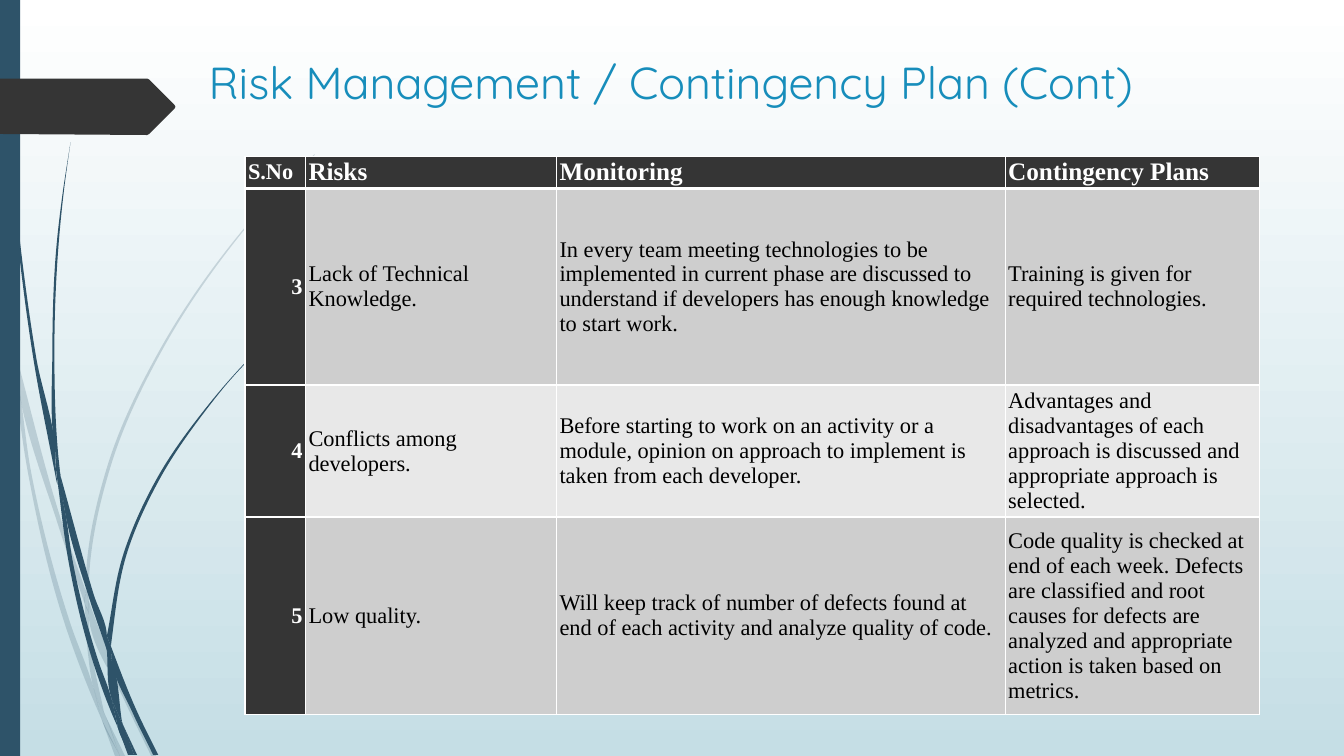
import math
from dataclasses import dataclass

import lxml.etree
import pptx
import pptx.dml.color
import pptx.enum.text
import pptx.oxml.ns
import pptx.util

Inches = pptx.util.Inches
Color = pptx.dml.color.RGBColor.from_string
Align = pptx.enum.text.PP_ALIGN
qn = pptx.oxml.ns.qn
Point = tuple[float, float]
Edge = list[Point]


@dataclass(frozen=True)
class Theme:
    white: str = "FFFFFF"
    black: str = "000000"
    mist: str = "C5DEE5"
    navy: str = "2E5369"
    coal: str = "353535"
    blue: str = "178DBB"
    dark: str = "CECECE"
    pale: str = "E8E8E8"
    title: str = "Quicksand"
    body: str = "Times New Roman"
    big: int = 32
    head: int = 18
    text: int = 16
    faint: int = 20


@dataclass(frozen=True)
class Strand:
    out: Edge
    back: Edge


THEME = Theme()

LIGHT = [
    Strand([(0.11, 3.5), (0.09, 3.22), (0, 2.82)], [(0, 2.99), (0.1, 3.44), (0.11, 3.5)]),
    Strand([(0.14, 3.45), (0.17, 3.76), (0.58, 5.22), (0.84, 5.99)],
           [(0.85, 5.86), (0.62, 5.2), (0.14, 3.45)]),
    Strand([(0.88, 5.96), (0.88, 6.1), (1.23, 6.94), (1.5, 7.5)],
           [(1.55, 7.5), (1.27, 6.92), (0.92, 6.07), (0.88, 5.96)]),
    Strand([(1.05, 7.11), (1.19, 7.5)], [(1.24, 7.5), (1.05, 7.11)]),
    Strand([(0.11, 3.5), (0.28, 4.7), (0.65, 6.21), (0.92, 6.93), (1.01, 7.14)],
           [(0.99, 7.07), (0.93, 6.83), (0.7, 6.19), (0.31, 4.69), (0.17, 3.76), (0.11, 3.5)]),
    Strand([(0.84, 5.99), (0.87, 6.46), (0.93, 6.83), (0.96, 6.92), (1.05, 7.11)],
           [(1.03, 7.06), (0.91, 6.46), (0.88, 6.1), (0.88, 6.08), (0.84, 5.99)]),
    Strand([(0.88, 5.96), (0.88, 5.84), (1.1, 4.62), (1.6, 3.49), (2.29, 2.45), (2.68, 1.98),
            (2.9, 1.75), (3.12, 1.54)],
           [(3.12, 1.53), (2.89, 1.75), (2.68, 1.97), (2.28, 2.44), (1.58, 3.48), (1.07, 4.61),
            (0.85, 5.84), (0.85, 5.86)]),
    Strand([(1.01, 7.14), (1.14, 7.5)], [(1.19, 7.5), (1.01, 7.14)]),
    Strand([(0.85, 5.86), (0.84, 5.99), (0.88, 6.08)], [(0.88, 6.1), (0.88, 5.96), (0.85, 5.86)]),
    Strand([(0.93, 6.83), (0.99, 7.07), (1.01, 7.14), (1.19, 7.5)],
           [(1.19, 7.5), (1.05, 7.11), (0.96, 6.92), (0.93, 6.83)]),
]

DARK = [
    Strand([(0.03, 0), (0.04, 0.48), (0.07, 1.1), (0.17, 2.33), (0.33, 3.55), (0.56, 4.77)],
           [(0.57, 4.81), (0.55, 4.57), (0.55, 4.53), (0.36, 3.55), (0.19, 2.32), (0.08, 1.09),
            (0.05, 0.48), (0.04, 0)]),
    Strand([(0.6, 4.72), (0.64, 5.05), (0.88, 5.92), (1.06, 6.45)],
           [(1.06, 6.33), (1.06, 6.31), (0.93, 5.9), (0.6, 4.72)]),
    Strand([(1.1, 6.41), (1.11, 6.56), (1.32, 7.08), (1.52, 7.49)],
           [(1.57, 7.49), (1.36, 7.06), (1.13, 6.49), (1.1, 6.41)]),
    Strand([(0.57, 4.77), (0.68, 5.57), (0.93, 6.59), (1.11, 7.08), (1.17, 7.22)],
           [(1.16, 7.17), (1.1, 6.91), (0.98, 6.57), (0.72, 5.56), (0.64, 5.05), (0.57, 4.77)]),
    Strand([(0.6, 4.72), (0.58, 4.53), (0.54, 3.49), (0.58, 2.45), (0.63, 1.93), (0.7, 1.41)],
           [(0.7, 1.41), (0.62, 1.93), (0.56, 2.45), (0.52, 3.49), (0.55, 4.49), (0.6, 4.72)]),
    Strand([(1.22, 7.19), (1.33, 7.49)], [(1.36, 7.49), (1.22, 7.19)]),
    Strand([(0.55, 4.49), (0.55, 4.53), (0.57, 4.77), (0.64, 5.05)],
           [(0.64, 5.05), (0.6, 4.72), (0.55, 4.49)]),
    Strand([(1.1, 6.41), (1.11, 6.33), (1.25, 5.52), (1.58, 4.76), (2.05, 4.06), (2.31, 3.74),
            (2.45, 3.59), (2.61, 3.44)],
           [(2.6, 3.44), (2.45, 3.58), (2.31, 3.73), (2.04, 4.05), (1.56, 4.74), (1.22, 5.51),
            (1.06, 6.31)]),
    Strand([(1.17, 7.22), (1.27, 7.49)], [(1.31, 7.49), (1.17, 7.22)]),
    Strand([(1.06, 6.45), (1.1, 6.91), (1.16, 7.06), (1.22, 7.19)],
           [(1.21, 7.16), (1.11, 6.56), (1.09, 6.51), (1.06, 6.45)]),
    Strand([(1.06, 6.31), (1.06, 6.45), (1.11, 6.56)], [(1.1, 6.41), (1.06, 6.31)]),
    Strand([(1.1, 6.91), (1.16, 7.17), (1.17, 7.22), (1.3, 7.49)],
           [(1.33, 7.49), (1.22, 7.19), (1.16, 7.06), (1.1, 6.91)]),
]

ARROW: Edge = [(0, 0.78), (1.46, 0.78), (1.48, 0.79), (1.73, 1.04), (1.74, 1.06), (1.73, 1.08),
               (1.48, 1.33), (1.46, 1.34), (0, 1.33)]
COLS = [0.6, 2.49, 4.45, 2.52]
ROWS = [0.32, 1.95, 1.31, 1.96]
CELLS = """S.No|Risks|Monitoring|Contingency Plans
3|Lack of Technical Knowledge.|In every team meeting technologies to be implemented in current phase are discussed to understand if developers has enough knowledge to start work.|Training is given for required technologies.
4|Conflicts among developers.|Before starting to work on an activity or a module, opinion on approach to implement is taken from each developer.|Advantages and disadvantages of each approach is discussed and appropriate approach is selected.
5|Low quality.|Will keep track of number of defects found at end of each activity and analyze quality of code.|Code quality is checked at end of each week. Defects are classified and root causes for defects are analyzed and appropriate action is taken based on metrics."""


def smooth(edge: Edge) -> Edge:
    gaps = [math.dist(a, b) for a, b in zip(edge, edge[1:])]
    slopes = [((c - a) / g, (d - b) / g) for (a, b), (c, d), g in zip(edge, edge[1:], gaps)]
    turns = [slopes[0]]
    for s, t, g, h in zip(slopes, slopes[1:], gaps, gaps[1:]):
        turns.append(tuple((h * u + g * v) / (g + h) for u, v in zip(s, t)))
    turns.append(slopes[-1])
    curve = [edge[0]]
    for a, b, s, t, g in zip(edge, edge[1:], turns, turns[1:], gaps):
        curve += [tuple(p + u * g / 3 for p, u in zip(a, s)),
                  tuple(p - u * g / 3 for p, u in zip(b, t)), b]
    return curve


def trace(slide, points: Edge, color: str, alpha: int = 100):
    spots = [(Inches(x), Inches(y)) for x, y in points]
    pen = slide.shapes.build_freeform(*spots[0])
    pen.add_line_segments(spots[1:], close=True)
    shape = pen.convert_to_shape()
    shape.shadow.inherit = False
    shape.line.fill.background()
    shape.fill.solid()
    shape.fill.fore_color.rgb = Color(color)
    if alpha < 100:
        tone = shape._element.spPr.find(".//" + qn("a:srgbClr"))
        lxml.etree.SubElement(tone, qn("a:alpha"), val=str(alpha * 1000))
    return shape


def weave(slide, strand: Strand, alpha: int) -> None:
    out, back = smooth(strand.out), smooth(strand.back)
    shape = trace(slide, out + back, THEME.navy, alpha)
    lines = list(shape._element.iter(qn("a:lnTo")))
    for run in (lines[:len(out) - 1], lines[len(out):len(out) + len(back) - 1]):
        for first, *rest in zip(run[::3], run[1::3], run[2::3]):
            first.tag = qn("a:cubicBezTo")
            for line in rest:
                first.append(line[0])
                line.getparent().remove(line)


def style(part, name: str, size: int, color: str, bold: bool = False) -> None:
    for run in part.runs:
        run.font.name, run.font.size, run.font.bold = name, pptx.util.Pt(size), bold
        run.font.color.rgb = Color(color)


def rule(cell, side: str, width: int) -> None:
    line = lxml.etree.SubElement(cell._tc.get_or_add_tcPr(), qn("a:ln" + side),
                                 w=str(pptx.util.Pt(width)))
    fill = lxml.etree.SubElement(line, qn("a:solidFill"))
    lxml.etree.SubElement(fill, qn("a:srgbClr"), val=THEME.white)


def add_title(slide) -> None:
    title = slide.shapes.title
    title.left, title.top = Inches(1.97), Inches(0.49)
    title.width, title.height = Inches(11.1), Inches(0.85)
    frame = title.text_frame
    frame.text = "Risk Management / Contingency Plan (Cont)"
    frame.vertical_anchor = pptx.enum.text.MSO_ANCHOR.TOP
    frame.paragraphs[0].alignment = Align.LEFT
    style(frame.paragraphs[0], THEME.title, THEME.big, THEME.blue)
    slide.shapes._spTree.append(title._element)


def add_risks(slide) -> None:
    table = slide.shapes.add_table(len(ROWS), len(COLS), Inches(2.43), Inches(1.55),
                                   Inches(sum(COLS)), Inches(sum(ROWS))).table
    table.horz_banding = False
    for column, width in zip(table.columns, COLS):
        column.width = Inches(width)
    for y, (height, words) in enumerate(zip(ROWS, CELLS.splitlines())):
        table.rows[y].height = Inches(height)
        for x, word in enumerate(words.split("|")):
            cell = table.cell(y, x)
            cell.text_frame.text = word
            cell.margin_left = cell.margin_right = Inches(0.03)
            cell.margin_top = cell.margin_bottom = 0
            cell.vertical_anchor = pptx.enum.text.MSO_ANCHOR.MIDDLE
            label = y == 0 or x == 0
            part = cell.text_frame.paragraphs[0]
            part.alignment = Align.RIGHT if x == 0 and y > 0 else Align.LEFT
            style(part, THEME.body, THEME.head if y == 0 and x > 0 else THEME.text,
                  THEME.white if label else THEME.black, label)
            for side, width in zip("LRTB", (1, 1, 3 if y == 1 else 1, 3 if y == 0 else 1)):
                rule(cell, side, width)
            cell.fill.solid()
            band = THEME.dark if y % 2 else THEME.pale
            cell.fill.fore_color.rgb = Color(THEME.coal if label else band)


def main() -> None:
    deck = pptx.Presentation()
    deck.slide_width, deck.slide_height = Inches(13.33), Inches(7.5)
    slide = deck.slides.add_slide(deck.slide_layouts[5])
    back = slide.background.fill
    back.gradient()
    back.gradient_angle = 270
    for stop, color, place in zip(back.gradient_stops, (THEME.white, THEME.mist), (0, 1)):
        stop.color.rgb, stop.position = Color(color), place
    for group, alpha in ((LIGHT, THEME.faint), (DARK, 100)):
        for strand in group:
            weave(slide, strand, alpha)
    bar = slide.shapes.add_shape(1, 0, 0, Inches(0.2), Inches(7.5))
    bar.shadow.inherit = False
    bar.line.fill.background()
    bar.fill.solid()
    bar.fill.fore_color.rgb = Color(THEME.navy)
    trace(slide, ARROW, THEME.coal)
    add_title(slide)
    add_risks(slide)
    deck.save("out.pptx")


if __name__ == "__main__":
    main()
